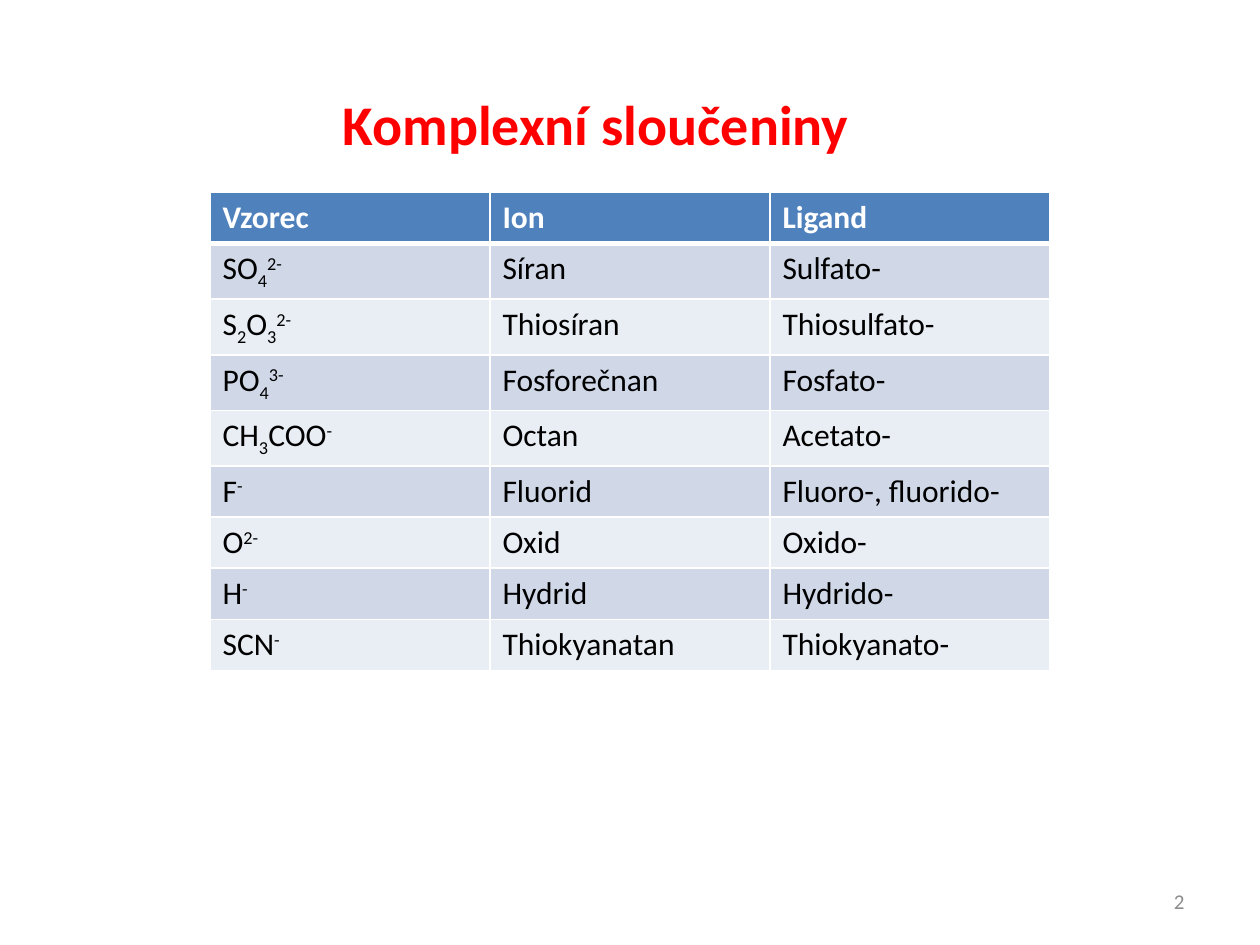
import pptx
import pptx.dml.color
import pptx.enum.text
import pptx.oxml
import pptx.oxml.ns
import pptx.util

Pt = pptx.util.Pt
RGBColor = pptx.dml.color.RGBColor
ALIGN = pptx.enum.text.PP_ALIGN
MIDDLE = pptx.enum.text.MSO_ANCHOR.MIDDLE

RED = RGBColor(0xFF, 0x00, 0x00)
GREY = RGBColor(0x8C, 0x8C, 0x8C)
WHITE = RGBColor(0xFF, 0xFF, 0xFF)
BLACK = RGBColor(0x00, 0x00, 0x00)
HEADER = RGBColor(0x4F, 0x81, 0xBD)
BANDS = [RGBColor(0xD0, 0xD8, 0xE8), RGBColor(0xE9, 0xED, 0xF4)]

# Formulas: parts are split by "|", "_" lowers a part and "^" raises it
BASELINES = {"_": "-25000", "^": "30000"}
ROWS = [
    ("Vzorec", "Ion", "Ligand"),
    ("SO|_4|^2-", "Síran", "Sulfato-"),
    ("S|_2|O|_3|^2-", "Thiosíran", "Thiosulfato-"),
    ("PO|_4|^3-", "Fosforečnan", "Fosfato-"),
    ("CH|_3|COO|^-", "Octan", "Acetato-"),
    ("F|^-", "Fluorid", "Fluoro-, fluorido-"),
    ("O|^2-", "Oxid", "Oxido-"),
    ("H|^-", "Hydrid", "Hydrido-"),
    ("SCN|^-", "Thiokyanatan", "Thiokyanato-"),
]


class Deck:
    """Holds the text style and the current slide."""

    font = "Calibri"

    def __init__(self, width, height):
        self.prs = pptx.Presentation()
        self.prs.slide_width, self.prs.slide_height = Pt(width), Pt(height)
        self.s = self.prs.slides.add_slide(self.prs.slide_layouts[5])

    def add_text(self, p, text, size, color, bold=False):
        for part in text.split("|"):
            r = p.add_run()
            r.text = part.lstrip("_^")
            form = {"name": self.font, "size": Pt(size), "bold": bold}
            for key, value in form.items():
                setattr(r.font, key, value)
            r.font.color.rgb = color
            if part[0] in BASELINES:
                r.font._element.set("baseline", BASELINES[part[0]])

    def place(self, sp, box, align, wrap):
        for key, value in zip(("left", "top", "width", "height"), box):
            setattr(sp, key, Pt(value))
        tf = sp.text_frame
        for key, value in {"word_wrap": wrap, "vertical_anchor": MIDDLE}.items():
            setattr(tf, key, value)
        p = tf.paragraphs[0]
        p.alignment = align
        return p

    def title(self, text, box, size, color):
        p = self.place(self.s.shapes.title, box, ALIGN.CENTER, False)
        self.add_text(p, text, size, color, bold=True)

    def label(self, text, box, size, color, align):
        sp = self.s.shapes.add_textbox(0, 0, 0, 0)
        self.add_text(self.place(sp, box, align, True), text, size, color)

    def border(self, cell, side, width):
        ln = pptx.oxml.parse_xml(
            f'<a:ln{side} {pptx.oxml.ns.nsdecls("a")} w="{Pt(width)}"><a:solidFill>'
            f'<a:srgbClr val="{WHITE}"/></a:solidFill></a:ln{side}>')
        cell._tc.get_or_add_tcPr().append(ln)

    def table(self, rows, box, size):
        shape = self.s.shapes.add_table(len(rows), len(rows[0]), *map(Pt, box))
        for i, row in enumerate(rows):
            for j, text in enumerate(row):
                cell = shape.table.cell(i, j)
                # The line under the header is thicker
                widths = {"L": 1, "R": 1, "T": 3 if i == 1 else 1, "B": 3 if i == 0 else 1}
                for side, width in widths.items():
                    self.border(cell, side, width)
                cell.fill.solid()
                cell.fill.fore_color.rgb = BANDS[(i - 1) % 2] if i else HEADER
                self.add_text(cell.text_frame.paragraphs[0], text, size,
                              BLACK if i else WHITE, bold=i == 0)


def main():
    deck = Deck(720, 540)
    # Slide number
    deck.label("2", (516, 500.5, 168, 28.75), 12, GREY, ALIGN.RIGHT)
    # Heading
    deck.title("Komplexní sloučeniny", (187, 47.5, 307, 46), 32, RED)
    # Ions and their ligand names
    deck.table(ROWS, (120, 110, 480, 262.8), 18)
    deck.prs.save("out.pptx")


if __name__ == "__main__":
    main()
